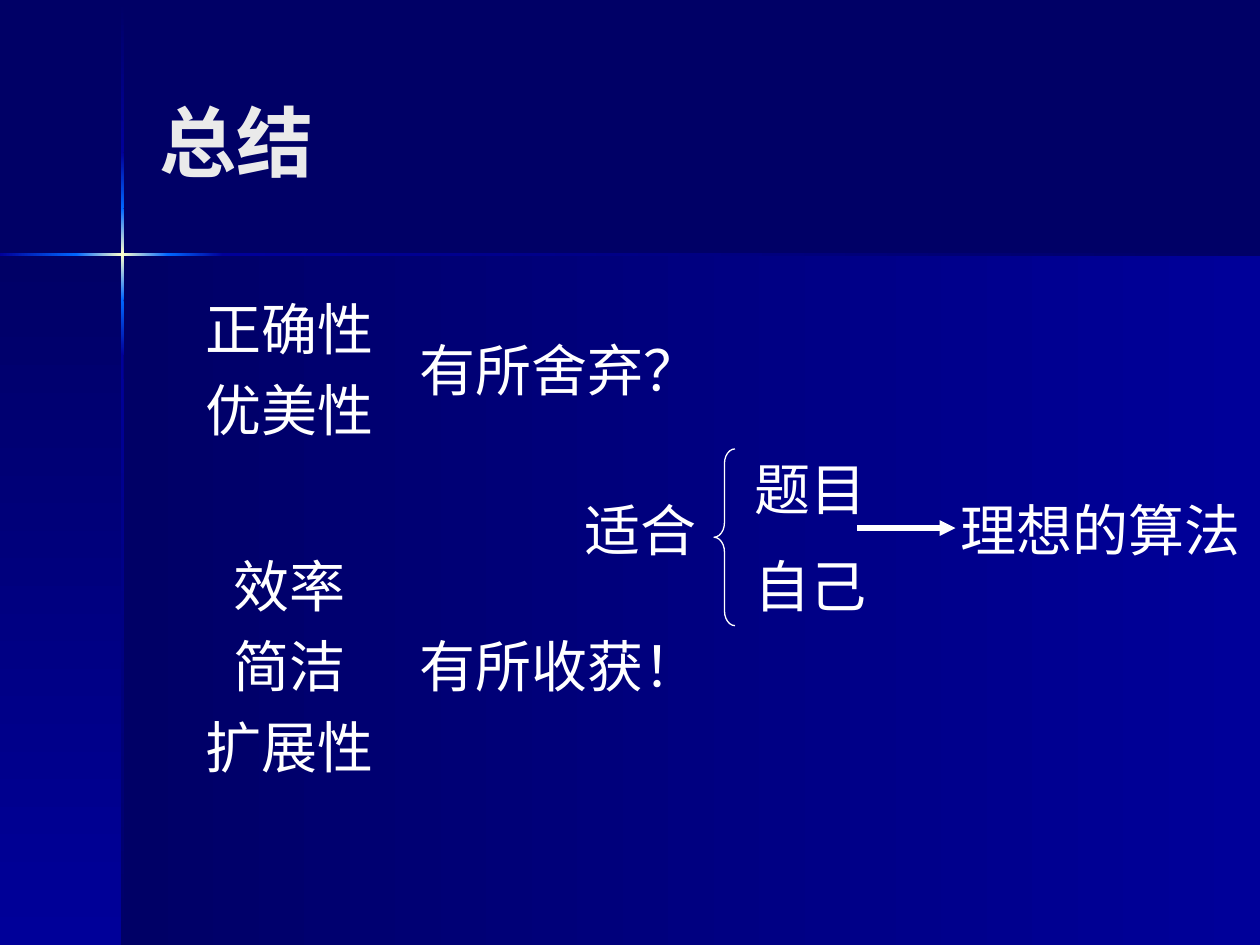
import copy
import pptx
import pptx.util
import pptx.dml.color
import pptx.enum.shapes
import pptx.enum.text
import pptx.oxml

Pt = pptx.util.Pt
kinds = pptx.enum.shapes.MSO_SHAPE
align = pptx.enum.text.PP_ALIGN
NAVY, BLUE, GLOW, CREAM, WHITE = "000066", "000099", "0066FF", "FFFFCC", "FFFFFF"


def paint(color, tone):
    color.rgb = pptx.dml.color.RGBColor.from_string(tone)


def blend(x, y, w, h, tones, angle):
    shape = slide.shapes.add_shape(kinds.RECTANGLE, Pt(x), Pt(y), Pt(w), Pt(h))
    shape.shadow.inherit = False
    shape.line.fill.background()
    shape.fill.gradient()
    shape.fill.gradient_angle = angle
    stops = shape._element.xpath(".//a:gs")
    for tone in tones[2:]:
        stops[0].addnext(copy.deepcopy(stops[0]))
    for i, stop in enumerate(shape.fill.gradient_stops):
        stop.position = i / (len(tones) - 1)
        paint(stop.color, tones[i])


deck = pptx.Presentation()
deck.slide_width, deck.slide_height = Pt(720), Pt(540)
slide = deck.slides.add_slide(deck.slide_layouts[5])
back = slide.background.fill
back.solid()
paint(back.fore_color, NAVY)

blend(70, 145.5, 650, 394.5, [NAVY, BLUE], 0)
blend(0, 145.5, 70, 394.5, [NAVY, BLUE], 270)

fades = [[NAVY, BLUE], [BLUE, GLOW], [GLOW, CREAM, GLOW], [GLOW, BLUE], [BLUE, NAVY]]
rows = [0.7, 87, 119, 171.4, 203, 540]
for top, end, tones in zip(rows, rows[1:], fades):
    blend(69.1, top, 1.5, end - top, tones, 270)
cols = [0, 43.5, 96, 127.5, 720]
for left, end, tones in zip(cols, cols[1:], fades[1:]):
    blend(left, 144.7, end - left, 1.5, tones, 0)

title = slide.shapes.title
title.left, title.top, title.width, title.height = Pt(84), Pt(24), Pt(594), Pt(113)
slide.shapes._spTree.append(title._element)
frame = title.text_frame
frame.vertical_anchor = pptx.enum.text.MSO_ANCHOR.MIDDLE
para = frame.paragraphs[0]
para.alignment = align.LEFT
run = para.add_run()
run.text = "总结"
run.font.name, run.font.size, run.font.bold = "Cabin", Pt(44), True
paint(run.font.color, "EAEAEA")

labels = [
    ("正确性", 99, 165, 133),
    ("优美性", 99, 211, 133),
    ("有所舍弃？", 232, 188, 176),
    ("效率", 99, 311.5, 133),
    ("简洁", 99, 357.5, 133),
    ("扩展性", 99, 403.5, 133),
    ("有所收获！", 232, 357.5, 176),
    ("题目", 408, 256, 110),
    ("适合", 324, 279.5, 84),
    ("理想的算法", 538, 279.5, 182),
    ("自己", 408, 311.5, 110),
]
for text, x, y, w in labels:
    box = slide.shapes.add_textbox(Pt(x), Pt(y), Pt(w), Pt(46))
    frame = box.text_frame
    frame.word_wrap = True
    frame.auto_size = pptx.enum.text.MSO_AUTO_SIZE.SHAPE_TO_FIT_TEXT
    para = frame.paragraphs[0]
    para.alignment = align.CENTER
    para.space_before = Pt(20)
    run = para.add_run()
    run.text = text
    run.font.name, run.font.size = "Cabin", Pt(32)
    paint(run.font.color, WHITE)

brace = slide.shapes.add_shape(kinds.LEFT_BRACE, Pt(408), Pt(256.5), Pt(12), Pt(101))
brace.shadow.inherit = False
brace.fill.background()
brace.adjustments[0] = 0.7
brace.line.width = Pt(0.75)
paint(brace.line.color, WHITE)

arrow = slide.shapes.add_connector(
    pptx.enum.shapes.MSO_CONNECTOR.STRAIGHT, Pt(490), Pt(301.75), Pt(546), Pt(301.75))
arrow.line.width = Pt(3)
paint(arrow.line.color, WHITE)
space = 'xmlns:a="http://schemas.openxmlformats.org/drawingml/2006/main"'
arrow.line._get_or_add_ln().append(
    pptx.oxml.parse_xml(f'<a:tailEnd {space} type="triangle"/>'))
arrow._element.spPr.append(pptx.oxml.parse_xml(f"<a:effectLst {space}/>"))

deck.save("out.pptx")
